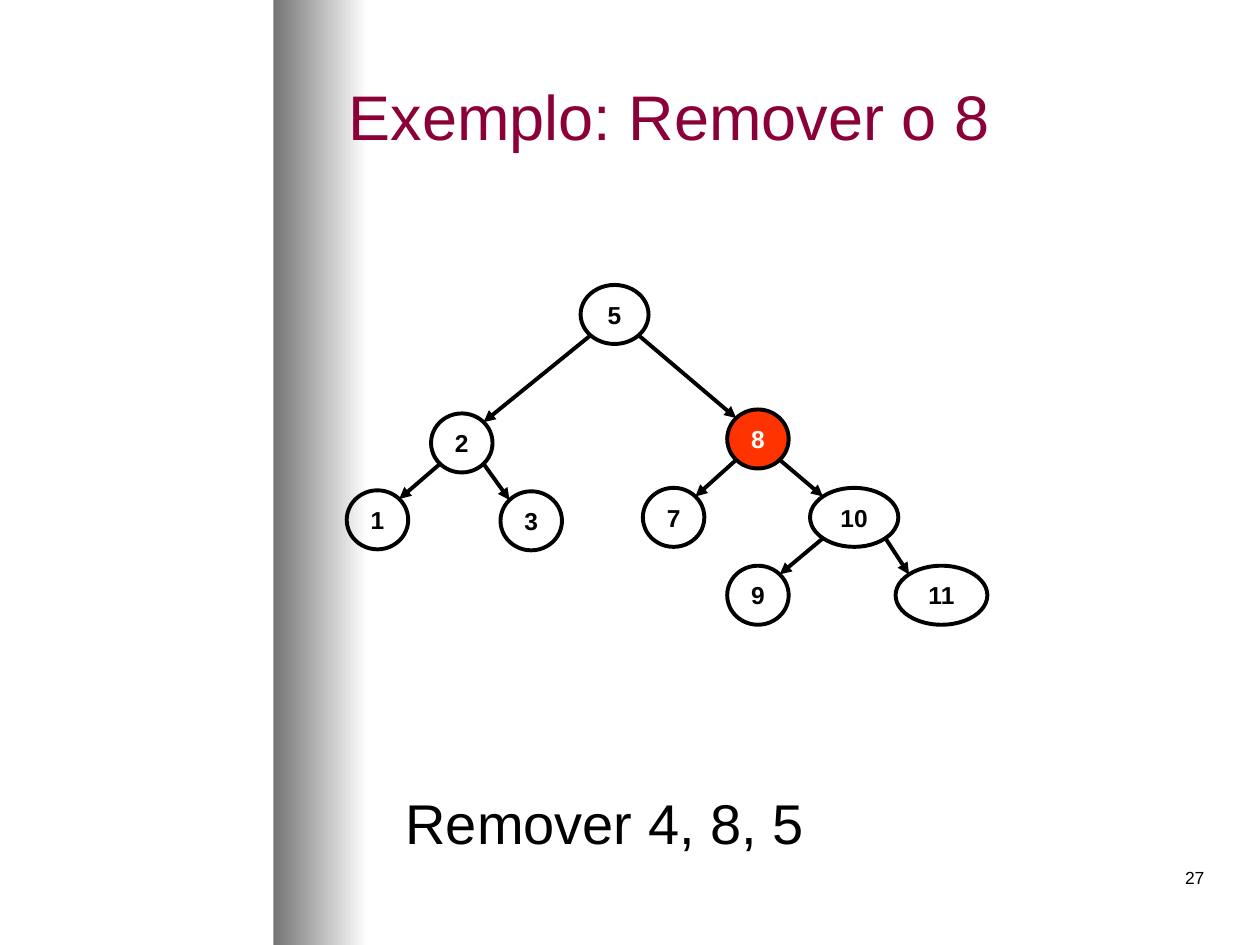
from math import sqrt

from lxml import etree
from pptx import Presentation, util as u
from pptx.dml import color
from pptx.enum import shapes, text
from pptx.oxml import ns

HUES = {"ink": "000000", "paper": "FFFFFF", "title": "8C0039",
        "mark": "FF3300", "shade": "747474"}
ALIGN, MID = text.PP_ALIGN, text.MSO_ANCHOR.MIDDLE
HIGH = 1.19                 # height of every node, cm
DIAG = sqrt(2) / 4          # share of a node's size from its centre to its 45° point


def hue(name):
    return color.RGBColor.from_string(HUES[name])


def put_text(shape, words, size, align, ink="ink", bold=False, wrap=True, anchor=MID):
    frame = shape.text_frame
    frame.word_wrap, frame.vertical_anchor = wrap, anchor
    par = frame.paragraphs[0]
    par.text, par.alignment = words, align
    look = {"name": "Arial", "size": u.Pt(size), "bold": bold}
    for key, value in look.items():
        setattr(par.font, key, value)
    par.font.color.rgb = hue(ink)


deck = Presentation()
deck.slide_width, deck.slide_height = u.Cm(25.4), u.Cm(19.05)
slide = deck.slides.add_slide(deck.slide_layouts[6])
items = slide.shapes

# Shaded band at the left
band = items.add_shape(shapes.MSO_SHAPE.RECTANGLE, u.Cm(5.51), 0, u.Cm(1.9), u.Cm(19.05))
band.shadow.inherit = False
band.line.fill.background()
band.fill.gradient()
band.fill.gradient_angle = 0
for stop, name in zip(band.fill.gradient_stops, ("shade", "paper")):
    stop.color.rgb = hue(name)

# Title, caption and page number
labels = [
    ("Exemplo: Remover o 8", (6.78, 0.64, 17.78, 3.38), 36, ALIGN.LEFT, "title", MID),
    ("Remover 4, 8, 5", (6.1, 15.75, 12.19, 1.63), 32, ALIGN.CENTER, "ink", MID),
    ("27", (19.25, 17.35, 5.28, 1.27), 10, ALIGN.RIGHT, "ink", text.MSO_ANCHOR.TOP),
]
for words, place, size, align, ink, anchor in labels:
    box = items.add_textbox(*map(u.Cm, place))
    put_text(box, words, size, align, ink, anchor=anchor)

# Tree nodes: centre x, centre y, width in cm
nodes = {
    "5": (12.39, 6.34, 1.37),
    "2": (9.31, 8.93, 1.24),
    "8": (15.28, 8.85, 1.24),
    "1": (7.61, 10.48, 1.24),
    "3": (10.71, 10.5, 1.24),
    "7": (13.58, 10.43, 1.24),
    "10": (17.22, 10.43, 1.78),
    "9": (15.28, 12, 1.24),
    "11": (18.98, 12, 1.85),
}
for key, (x, y, wide) in nodes.items():
    node = items.add_shape(shapes.MSO_SHAPE.OVAL, u.Cm(x - wide / 2), u.Cm(y - HIGH / 2),
                           u.Cm(wide), u.Cm(HIGH))
    node.shadow.inherit = False
    if key == "8":
        node.fill.solid()
        node.fill.fore_color.rgb = hue("mark")
    else:
        node.fill.background()
    node.line.color.rgb = hue("ink")
    node.line.width = u.Pt(2.25)
    put_text(node, key, 14, ALIGN.CENTER, "paper" if key == "8" else "ink",
             bold=True, wrap=False)

# Arrows from each parent's lower corner to the child's facing upper corner
kids = {"5": ("2", "8"), "2": ("1", "3"), "8": ("7", "10"), "10": ("9", "11")}
for top, pair in kids.items():
    for side, kid in zip((-1, 1), pair):
        x1, y1, w1 = nodes[top]
        x2, y2, w2 = nodes[kid]
        ends = (x1 + side * w1 * DIAG, y1 + HIGH * DIAG,
                x2 - side * w2 * DIAG, y2 - HIGH * DIAG)
        edge = items.add_connector(shapes.MSO_CONNECTOR.STRAIGHT, *map(u.Cm, ends))
        edge.line.color.rgb = hue("ink")
        edge.line.width = u.Pt(2.25)
        etree.SubElement(edge.line._get_or_add_ln(), ns.qn("a:tailEnd"), type="triangle")
        etree.SubElement(edge._element.spPr, ns.qn("a:effectLst"))

deck.save("out.pptx")
